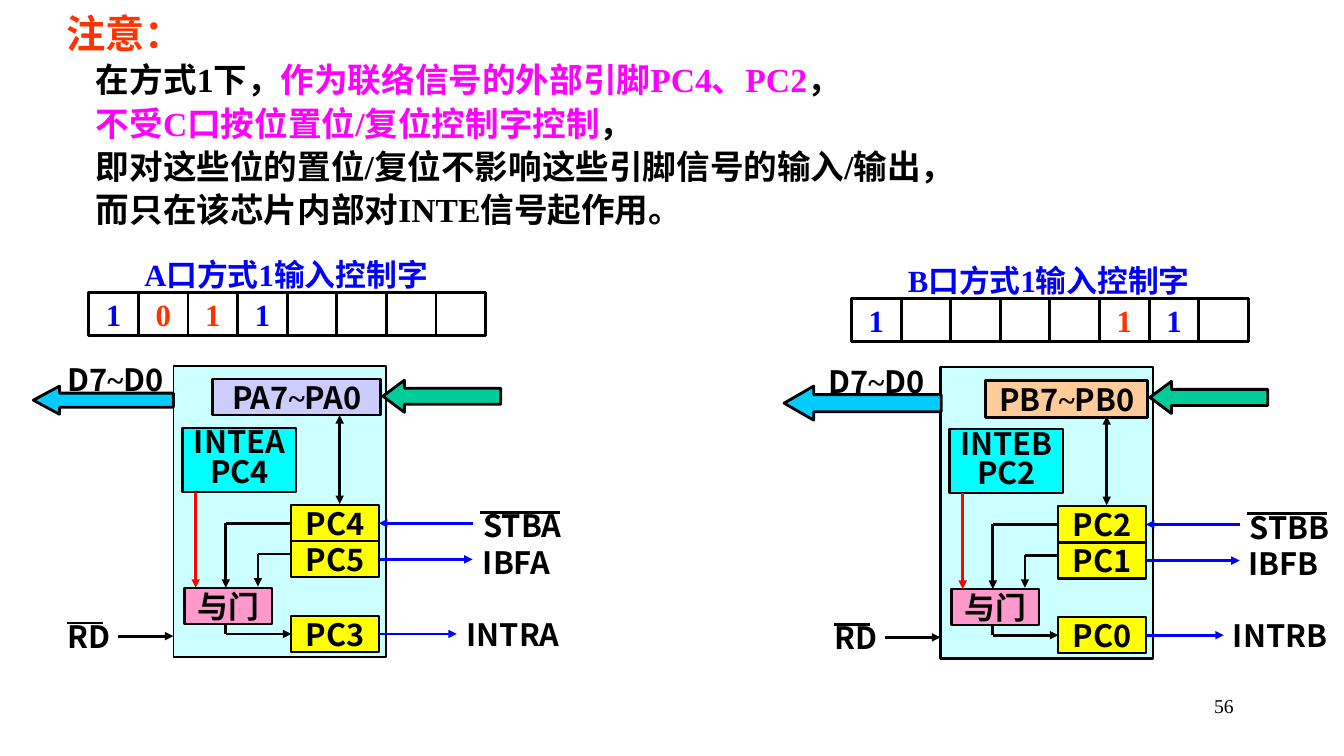
from dataclasses import dataclass

from pptx import Presentation
from pptx.dml.color import RGBColor
from pptx.enum.shapes import MSO_CONNECTOR, MSO_SHAPE
from pptx.enum.text import MSO_ANCHOR, MSO_AUTO_SIZE, PP_ALIGN
from pptx.oxml.ns import qn
from pptx.util import Cm, Pt
from lxml import etree

RECTANGLE, LEFT_ARROW = MSO_SHAPE.RECTANGLE, MSO_SHAPE.LEFT_ARROW
STRAIGHT = MSO_CONNECTOR.STRAIGHT
TOP, MIDDLE = MSO_ANCHOR.TOP, MSO_ANCHOR.MIDDLE
CENTER, RIGHT, JUSTIFY = PP_ALIGN.CENTER, PP_ALIGN.RIGHT, PP_ALIGN.JUSTIFY
LEFT_SIDE, RIGHT_SIDE = 1, 3


@dataclass(frozen=True)
class Theme:
    serif: str = "Times New Roman"
    sans: str = "Noto Sans CJK SC"
    title_size: int = 28
    body_size: int = 24
    label_size: int = 22
    number_size: int = 14
    black: str = "000000"
    accent: str = "FF3300"
    highlight: str = "FF00FF"
    blue: str = "0000FF"
    red: str = "FF0000"
    chip: str = "CCFFFF"
    pin: str = "FFFF00"
    interrupt: str = "00FFFF"
    gate: str = "FF99CC"
    bus: str = "00CCFF"
    peripheral: str = "00CC99"
    port_a: str = "CCCCFF"
    port_b: str = "FFCC99"


THEME = Theme()


def write_text(shape, *paragraphs, font=THEME.sans, size=THEME.label_size, color=THEME.black,
               bold=True, align=CENTER, anchor=MIDDLE, insets=(0, 0, 0, 0),
               line_spacing=None, indent=0):
    """Each paragraph is a string or a list of (text, overrides) runs."""
    frame = shape.text_frame
    frame.word_wrap = True
    frame.auto_size = MSO_AUTO_SIZE.NONE
    frame.vertical_anchor = anchor
    frame.margin_left, frame.margin_top, frame.margin_right, frame.margin_bottom = map(Cm, insets)
    for index, content in enumerate(paragraphs):
        paragraph = frame.add_paragraph() if index else frame.paragraphs[0]
        paragraph.alignment = align
        paragraph.space_before = Pt(0)
        if line_spacing:
            paragraph.line_spacing = line_spacing
        if indent:
            paragraph._p.get_or_add_pPr().set("marL", str(Cm(indent)))
        runs = [(content, {})] if isinstance(content, str) else content
        for text, overrides in runs:
            run = paragraph.add_run()
            run.text = text
            run.font.size, run.font.bold = Pt(size), bold
            run.font.color.rgb = RGBColor.from_string(overrides.get("color", color))
            run.font.name = overrides.get("font", font)
            east_asian = etree.SubElement(run._r.get_or_add_rPr(), qn("a:ea"))
            east_asian.set("typeface", THEME.sans)


def add_label(slide, box, *paragraphs, **text_format):
    write_text(slide.shapes.add_textbox(*map(Cm, box)), *paragraphs, **text_format)


def add_block(slide, box, *paragraphs, fill=None, line=1.5, kind=RECTANGLE, **text_format):
    shape = slide.shapes.add_shape(kind, *map(Cm, box))
    shape.shadow.inherit = False
    if fill:
        shape.fill.solid()
        shape.fill.fore_color.rgb = RGBColor.from_string(fill)
    else:
        shape.fill.background()
    shape.line.color.rgb = RGBColor.from_string(THEME.black)
    shape.line.width = Pt(line)
    if paragraphs:
        write_text(shape, *paragraphs, **text_format)
    return shape


def add_block_arrow(slide, box, fill, head_ratio):
    arrow = add_block(slide, box, fill=fill, line=2, kind=LEFT_ARROW)
    arrow.adjustments[0], arrow.adjustments[1] = 0.5, head_ratio


def add_line(slide, start, end, color=THEME.black, ends="", begin=None, finish=None):
    """ends names the arrowheads; begin and finish are (shape, side) joints."""
    connector = slide.shapes.add_connector(STRAIGHT, *map(Cm, (*start, *end)))
    if begin:
        connector.begin_connect(*begin)
    if finish:
        connector.end_connect(*finish)
    connector.line.color.rgb = RGBColor.from_string(color)
    connector.line.width = Pt(2)
    outline = connector.line._get_or_add_ln()
    for name in ends.split():
        etree.SubElement(outline, qn(f"a:{name}")).set("type", "triangle")
    etree.SubElement(connector._element.spPr, qn("a:effectLst"))


def pin_range(port):
    return [(f"{port}7", {}), ("~", {"font": THEME.serif}), (f"{port}0", {})]


def add_control_word(slide, left, top, heading, bits):
    """bits holds eight (digit, color) pairs, or None for an empty cell."""
    cell_width, cell_height = 1.25, 1.09
    for index, bit in enumerate(bits):
        box = (left + index * cell_width, top, cell_width, cell_height)
        if bit:
            add_block(slide, box, bit[0], line=2, font=THEME.serif, color=bit[1])
        else:
            add_block(slide, box, line=2)
    add_label(slide, (left - 0.49, top - 1.02, 10.92, 1.12), heading,
              font=THEME.serif, color=THEME.blue)


def add_port_diagram(slide, left, top, port, pins, frame_line, port_box, port_fill,
                     bus_box, bus_head, bus_label):
    def at(x, y):
        return left + x, top + y

    def place(x, y, width, height):
        return (*at(x, y), width, height)

    # Chip and its blocks
    pin_left, pin_width, height = 2.97, 2.21, 0.91
    pin_tops = (3.51, 4.42, 6.30)
    strobe_y, full_y, request_y = (pin_top + height / 2 for pin_top in pin_tops)
    add_block(slide, place(0, 0, 5.36, 7.34), fill=THEME.chip, line=frame_line)
    add_block(slide, place(*port_box), pin_range(f"P{port}"), fill=port_fill, line=2)
    strobe, full, request = (
        add_block(slide, place(pin_left, pin_top, pin_width, height), name, fill=THEME.pin)
        for pin_top, name in zip(pin_tops, pins))
    add_block(slide, place(0.23, 1.57, 2.87, 1.6), f"INTE{port}", pins[0],
              fill=THEME.interrupt, line_spacing=0.8)
    add_block(slide, place(0.28, 5.59, pin_width, height), "与门", fill=THEME.gate)

    # Inner wiring
    gate_x, full_x = 1.32, 2.13
    add_line(slide, at(4.19, 1.24), at(4.19, 3.48), ends="headEnd tailEnd")
    add_line(slide, at(0.56, 3.17), at(0.56, 5.59), THEME.red, "tailEnd")
    add_line(slide, at(gate_x, strobe_y), at(pin_left, strobe_y), finish=(strobe, LEFT_SIDE))
    add_line(slide, at(gate_x, strobe_y), at(gate_x, 5.59), ends="tailEnd")
    add_line(slide, at(full_x, 4.74), at(pin_left, 4.74))
    add_line(slide, at(full_x, 4.74), at(full_x, 5.56), ends="tailEnd")
    add_line(slide, at(gate_x, 6.48), at(gate_x, request_y))
    add_line(slide, at(gate_x, request_y), at(pin_left, request_y), ends="tailEnd",
             finish=(request, LEFT_SIDE))

    # Handshake signals
    pin_right = pin_left + pin_width
    add_line(slide, at(7.54, strobe_y), at(pin_right, strobe_y), THEME.blue, "tailEnd",
             finish=(strobe, RIGHT_SIDE))
    add_line(slide, at(pin_right, full_y), at(7.54, full_y), THEME.blue, "tailEnd",
             begin=(full, RIGHT_SIDE))
    add_line(slide, at(pin_right, request_y), at(7.14, request_y), THEME.blue, "tailEnd",
             begin=(request, RIGHT_SIDE))
    add_line(slide, at(-1.4, 6.81), at(0, 6.81), ends="tailEnd")
    for name, x, y, width in ((f"STB{port}", 7.44, 3.57, 2.72), (f"IBF{port}", 7.29, 4.48, 2.72),
                              (f"INTR{port}", 6.96, 6.31, 3.2), ("RD", -2.82, 6.35, 1.37)):
        add_label(slide, place(x, y, width, height), name)
    for x_start, x_end, y in ((7.72, 9.75, 3.69), (-2.67, -1.78, 6.48)):
        add_line(slide, at(x_start, y), at(x_end, y))

    # Data bus and peripheral side
    add_block_arrow(slide, place(*bus_box), THEME.bus, bus_head)
    add_label(slide, place(*bus_label, 2.97, height), pin_range("D"))
    add_block_arrow(slide, place(5.28, 0.36, 2.97, 0.81), THEME.peripheral, 0.67)


def main():
    presentation = Presentation()
    presentation.slide_width, presentation.slide_height = Cm(33.87), Cm(19.05)
    slide = presentation.slides.add_slide(presentation.slide_layouts[5])

    # Title and note
    title = slide.shapes.title
    title.left, title.top, title.width, title.height = map(Cm, (1.42, 0, 31.32, 1.41))
    write_text(title, "注意：", font=THEME.serif, size=THEME.title_size, color=THEME.accent,
               align=JUSTIFY, anchor=TOP, insets=(0.25, 0, 0.25, 0), line_spacing=Pt(40))
    highlight = {"color": THEME.highlight}
    add_label(slide, (1.42, 1.41, 31.32, 4.4),
              [("在方式1下，", {}), ("作为联络信号的外部引脚PC4、PC2", highlight), ("，", {})],
              [("不受C口按位置位/复位控制字控制", highlight), ("，", {})],
              "即对这些位的置位/复位不影响这些引脚信号的输入/输出，",
              "而只在该芯片内部对INTE信号起作用。",
              font=THEME.serif, size=THEME.body_size, align=JUSTIFY, anchor=TOP,
              insets=(0.25, 0, 0.25, 0), line_spacing=Pt(31), indent=0.75)

    # Port diagrams
    add_port_diagram(slide, 4.37, 9.22, "A", ("PC4", "PC5", "PC3"), 1,
                     (0.99, 0.33, 4.24, 0.91), THEME.port_a,
                     (-3.53, 0.51, 3.53, 0.71), 0.93, (-2.95, -0.13))
    add_port_diagram(slide, 23.7, 9.25, "B", ("PC2", "PC1", "PC0"), 2,
                     (1.14, 0.33, 4.09, 0.94), THEME.port_b,
                     (-3.94, 0.48, 3.96, 0.86), 0.87, (-3.1, -0.1))

    # Control words
    fixed, choice = ("1", THEME.blue), ("1", THEME.accent)
    add_control_word(slide, 2.24, 7.37, "A口方式1输入控制字",
                     [fixed, ("0", THEME.accent), choice, fixed] + [None] * 4)
    add_control_word(slide, 21.46, 7.52, "B口方式1输入控制字",
                     [fixed] + [None] * 4 + [choice, fixed, None])

    # Page number
    add_label(slide, (24.28, 17.35, 7.06, 1.27), "56", font=THEME.serif, size=THEME.number_size,
              bold=False, align=RIGHT, anchor=TOP, insets=(0.25, 0.13, 0.25, 0.13))

    presentation.save("out.pptx")


if __name__ == "__main__":
    main()
